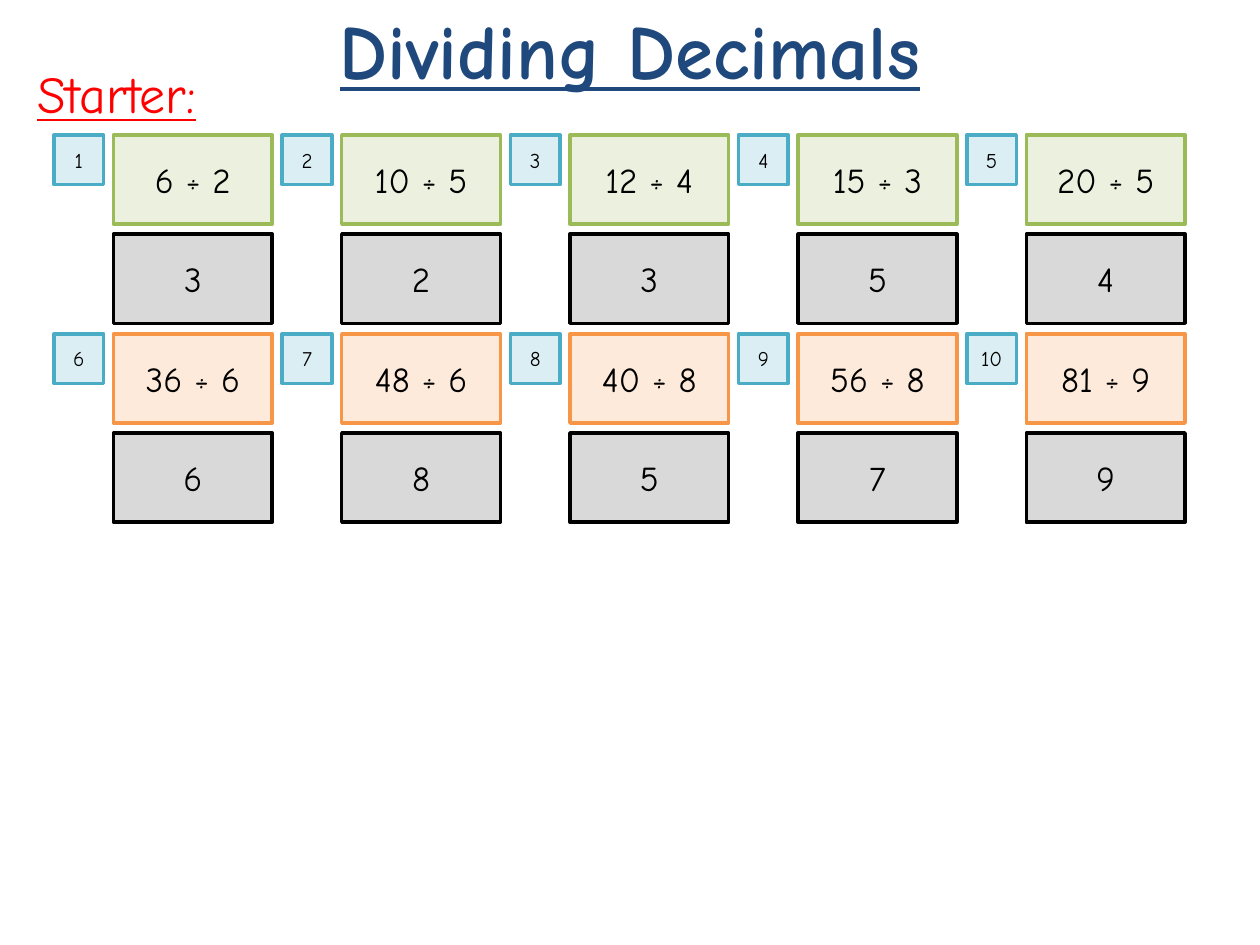
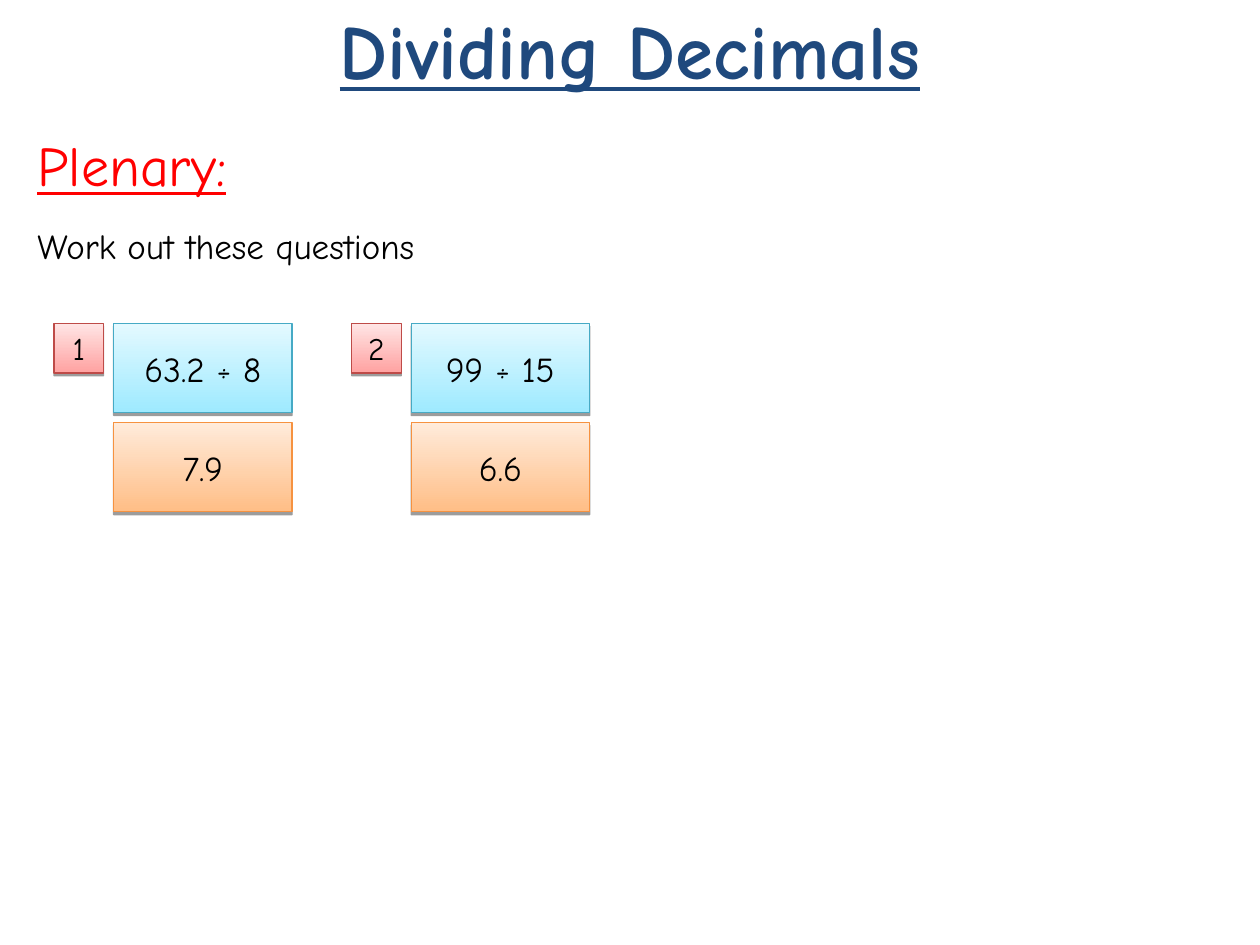
import dataclasses
import typing

import pptx
import pptx.dml.color
import pptx.enum.shapes
import pptx.enum.text
import pptx.oxml
import pptx.oxml.ns
import pptx.slide
import pptx.text.text
import pptx.util

Cm = pptx.util.Cm
Pt = pptx.util.Pt

FONT = "Comic Neue"
BLACK, RED, NAVY = "000000", "FF0000", "1F497D"
LESSON = "Dividing Decimals"
CARD_LEFT, CARD_HEIGHT, ROW_PITCH = 2.29, 1.8, 2.0
TAG_OFFSET, TAG_SIZE = 1.2, 1.0


@dataclasses.dataclass(frozen=True)
class CardStyle:
    """Look of a card; two fill colours run as a gradient from the bottom up."""

    fill: tuple[str, ...]
    line: str
    line_width: float = 2
    text_size: float = 20
    shadow: bool = False


@dataclasses.dataclass(frozen=True)
class QuestionRow:
    """A row of numbered questions with the answers below."""

    top: float
    pitch: float
    card_width: float
    first_number: int
    questions: dict[str, str]
    tag_style: CardStyle
    question_style: CardStyle
    answer_style: CardStyle


@dataclasses.dataclass(frozen=True)
class BodyLine:
    """One line of the body text."""

    text: str
    size: float
    color: str
    space_before: float
    underline: bool = False


STARTER_TAG = CardStyle(("DBEEF4",), "4BACC6", text_size=12)
STARTER_GREEN = CardStyle(("EBF1DE",), "9BBB59")
STARTER_ORANGE = CardStyle(("FDEADA",), "F79646")
STARTER_ANSWER = CardStyle(("D9D9D9",), BLACK)
PLENARY_TAG = CardStyle(("FFA2A1", "FFE5E5"), "BE4B48", 0.75, 18, True)
PLENARY_QUESTION = CardStyle(("9EEAFF", "E4F9FF"), "46AAC5", 0.75, shadow=True)
PLENARY_ANSWER = CardStyle(("FFBE86", "FFEBDB"), "F69240", 0.75, shadow=True)

STARTER_ROWS = [
    QuestionRow(
        2.72, 4.6, 3.2, 1,
        {"6 ÷ 2": "3", "10 ÷ 5": "2", "12 ÷ 4": "3", "15 ÷ 3": "5", "20 ÷ 5": "4"},
        STARTER_TAG, STARTER_GREEN, STARTER_ANSWER,
    ),
    QuestionRow(
        6.73, 4.6, 3.2, 6,
        {"36 ÷ 6": "6", "48 ÷ 6": "8", "40 ÷ 8": "5", "56 ÷ 8": "7", "81 ÷ 9": "9"},
        STARTER_TAG, STARTER_ORANGE, STARTER_ANSWER,
    ),
]
PLENARY_ROWS = [
    QuestionRow(
        6.52, 6.0, 3.6, 1,
        {"63.2 ÷ 8": "7.9", "99 ÷ 15": "6.6"},
        PLENARY_TAG, PLENARY_QUESTION, PLENARY_ANSWER,
    ),
]


def rgb(color: str) -> pptx.dml.color.RGBColor:
    """Turn a hex string into a colour."""
    return pptx.dml.color.RGBColor.from_string(color)


def format_paragraph(
    paragraph: pptx.text.text._Paragraph,
    size: float,
    color: str = BLACK,
    bold: bool = False,
    underline: bool = False,
) -> None:
    """Set the font of a whole paragraph."""
    font = paragraph.font
    font.name = FONT
    font.size = Pt(size)
    font.color.rgb = rgb(color)
    font.bold = bold
    font.underline = underline


def place(shape: typing.Any, left: float, top: float, width: float, height: float) -> None:
    """Move a placeholder and anchor its text at the top."""
    shape.left, shape.top = Cm(left), Cm(top)
    shape.width, shape.height = Cm(width), Cm(height)
    frame = shape.text_frame
    frame.auto_size = pptx.enum.text.MSO_AUTO_SIZE.NONE
    frame.vertical_anchor = pptx.enum.text.MSO_ANCHOR.TOP


def add_shadow(shape: typing.Any) -> None:
    """Give a shape a hard shadow straight below it."""
    effects = shape.element.spPr.find(pptx.oxml.ns.qn("a:effectLst"))
    effects.append(pptx.oxml.parse_xml(
        f'<a:outerShdw {pptx.oxml.ns.nsdecls("a")} blurRad="0" dist="{Pt(1.6)}" '
        f'dir="5400000" rotWithShape="0"><a:srgbClr val="{BLACK}">'
        '<a:alpha val="38000"/></a:srgbClr></a:outerShdw>'
    ))


def add_card(
    slide: pptx.slide.Slide,
    text: str,
    style: CardStyle,
    left: float,
    top: float,
    width: float,
    height: float,
) -> None:
    """Draw a rectangle with centred text."""
    shape = slide.shapes.add_shape(
        pptx.enum.shapes.MSO_SHAPE.RECTANGLE, Cm(left), Cm(top), Cm(width), Cm(height)
    )
    shape.shadow.inherit = False
    if style.shadow:
        add_shadow(shape)
    if len(style.fill) == 1:
        shape.fill.solid()
        shape.fill.fore_color.rgb = rgb(style.fill[0])
    else:
        shape.fill.gradient()
        shape.fill.gradient_angle = 90
        for stop, color in zip(shape.fill.gradient_stops, style.fill):
            stop.color.rgb = rgb(color)
    shape.line.color.rgb = rgb(style.line)
    shape.line.width = Pt(style.line_width)
    shape.text_frame.text = text
    shape.text_frame.vertical_anchor = pptx.enum.text.MSO_ANCHOR.MIDDLE
    paragraph = shape.text_frame.paragraphs[0]
    paragraph.alignment = pptx.enum.text.PP_ALIGN.CENTER
    format_paragraph(paragraph, style.text_size)


def add_question_row(slide: pptx.slide.Slide, row: QuestionRow) -> None:
    """Draw number tags, questions and answers side by side."""
    for column, (question, answer) in enumerate(row.questions.items()):
        left = CARD_LEFT + column * row.pitch
        number = str(row.first_number + column)
        add_card(slide, question, row.question_style, left, row.top, row.card_width, CARD_HEIGHT)
        add_card(slide, number, row.tag_style, left - TAG_OFFSET, row.top, TAG_SIZE, TAG_SIZE)
        add_card(
            slide, answer, row.answer_style,
            left, row.top + ROW_PITCH, row.card_width, CARD_HEIGHT,
        )


def add_lesson_slide(
    presentation: typing.Any,
    body_top: float,
    body_height: float,
    lines: list[BodyLine],
    rows: list[QuestionRow],
) -> None:
    """Add a slide with the lesson title, body lines and question rows."""
    slide = presentation.slides.add_slide(presentation.slide_layouts[1])
    title, body = slide.placeholders
    place(title, 0, -0.08, 25.4, 1.8)
    title.text_frame.text = LESSON
    heading = title.text_frame.paragraphs[0]
    heading.alignment = pptx.enum.text.PP_ALIGN.CENTER
    format_paragraph(heading, 44, NAVY, bold=True, underline=True)

    place(body, 0.5, body_top, 24.2, body_height)
    body.text_frame.text = "\n".join(line.text for line in lines)
    for paragraph, line in zip(body.text_frame.paragraphs, lines):
        paragraph.space_before = Pt(line.space_before)
        properties = paragraph._p.get_or_add_pPr()
        properties.append(pptx.oxml.parse_xml(f'<a:buNone {pptx.oxml.ns.nsdecls("a")}/>'))
        format_paragraph(paragraph, line.size, line.color, underline=line.underline)

    for row in rows:
        add_question_row(slide, row)


def main() -> None:
    """Build and save the lesson."""
    presentation = pptx.Presentation()
    presentation.slide_width, presentation.slide_height = Cm(25.4), Cm(19.05)
    starter = [BodyLine("Starter:", 29.6, RED, 8, True)]
    plenary = [
        BodyLine("Plenary:", 32, RED, 8, True),
        BodyLine("Work out these questions", 20, BLACK, 15),
    ]
    add_lesson_slide(presentation, 1.12, 1.6, starter, STARTER_ROWS)
    add_lesson_slide(presentation, 2.51, 16, plenary, PLENARY_ROWS)
    presentation.save("out.pptx")


if __name__ == "__main__":
    main()
